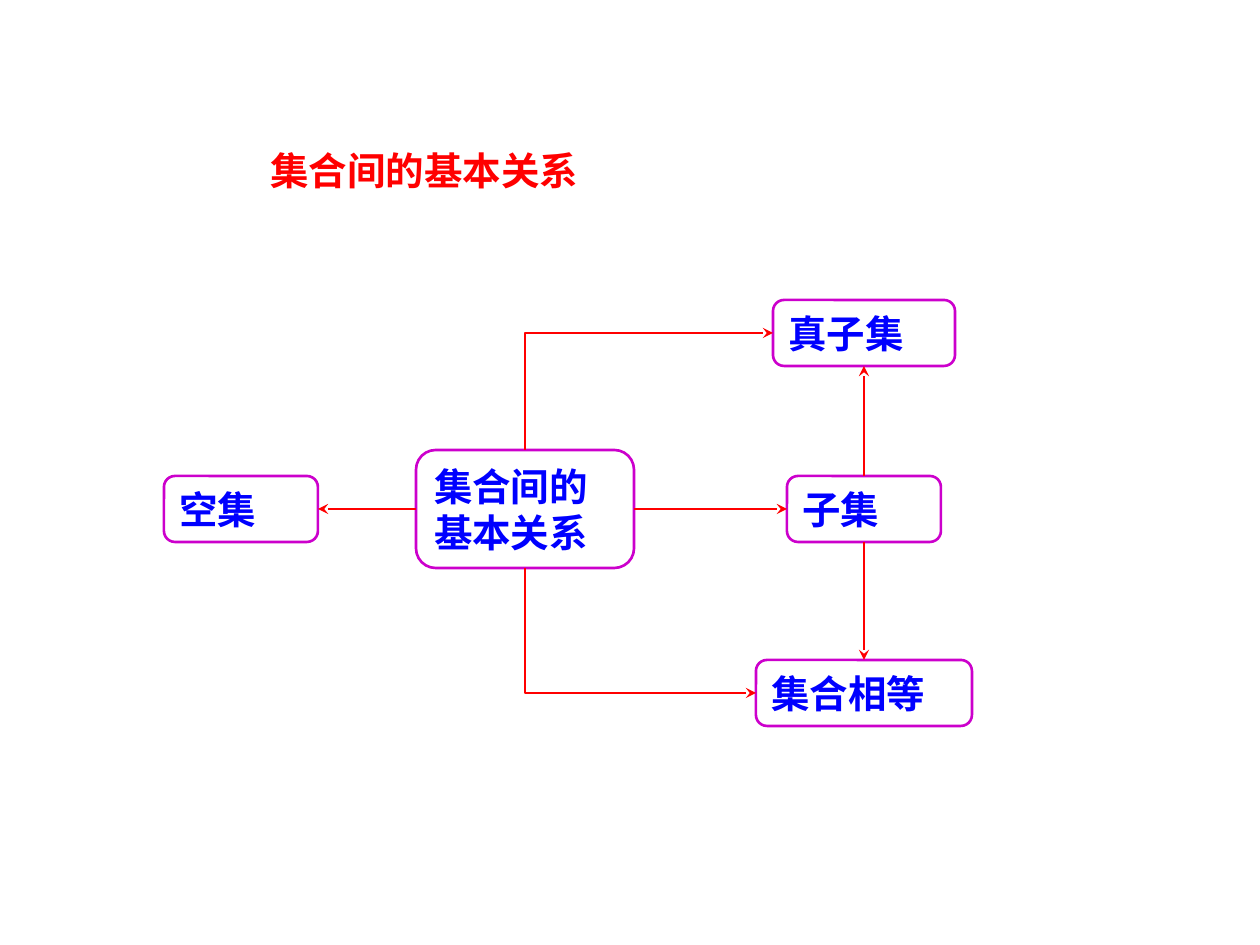
from lxml import etree
from pptx import Presentation
from pptx import util as u
from pptx.dml.color import RGBColor
from pptx.enum import shapes, text
from pptx.oxml.ns import qn

PX = u.Inches(1) / 126
FONT = "Noto Sans CJK SC"
COLORS = {"title": "FF0000", "term": "0000FF", "border": "CC00CC", "arrow": "FF0000"}


def px(n):
    return u.Emu(round(n * PX))


def write(frame, words, color, anchor, spacing=1.0):
    frame.word_wrap = True
    frame.auto_size = text.MSO_AUTO_SIZE.SHAPE_TO_FIT_TEXT
    frame.vertical_anchor = anchor
    frame.margin_left = frame.margin_right = u.Inches(0.1)
    frame.margin_top = frame.margin_bottom = u.Inches(0.05)
    paragraph = frame.paragraphs[0]
    paragraph.alignment = text.PP_ALIGN.LEFT
    paragraph.line_spacing = spacing
    paragraph.space_before = u.Pt(0)
    run = paragraph.add_run()
    run.text = words
    run.font.size = u.Pt(22)
    run.font.bold = True
    run.font.color.rgb = RGBColor.from_string(COLORS[color])
    run.font.name = FONT
    etree.SubElement(run.font._element, qn("a:ea")).set("typeface", FONT)


prs = Presentation()
prs.slide_width, prs.slide_height = px(1260), px(945)
slide = prs.slides.add_slide(prs.slide_layouts[5])

title = slide.shapes.title
title.left, title.top, title.width, title.height = px(258), px(122), px(760), px(78)
write(title.text_frame, "集合间的基本关系", "title", text.MSO_ANCHOR.TOP, spacing=1.4)

concepts = {}
for words, left, top, width, height in [
    ("空集", 164, 476, 154, 66),
    ("集合间的基本关系", 416, 450, 218, 118),
    ("集合相等", 756, 660, 216, 66),
    ("子集", 787, 476, 154, 66),
    ("真子集", 773, 300, 182, 66),
]:
    concept = slide.shapes.add_shape(
        shapes.MSO_SHAPE.FLOWCHART_ALTERNATE_PROCESS, px(left), px(top), px(width), px(height)
    )
    concept.shadow.inherit = False
    concept.fill.background()
    concept.line.color.rgb = RGBColor.from_string(COLORS["border"])
    concept.line.width = u.Pt(1.5)
    write(concept.text_frame, words, "term", text.MSO_ANCHOR.MIDDLE)
    concepts[words] = concept

TOP, LEFT, BOTTOM, RIGHT = range(4)
UP_THEN_RIGHT = {"rot": "5400000", "flipH": "1", "flipV": "1"}
DOWN_THEN_RIGHT = {"rot": "16200000", "flipH": "1", "flipV": "0"}
for source, source_side, target, target_side, bend in [
    ("集合间的基本关系", LEFT, "空集", RIGHT, None),
    ("集合间的基本关系", RIGHT, "子集", LEFT, None),
    ("集合间的基本关系", TOP, "真子集", LEFT, UP_THEN_RIGHT),
    ("集合间的基本关系", BOTTOM, "集合相等", LEFT, DOWN_THEN_RIGHT),
    ("子集", TOP, "真子集", BOTTOM, None),
    ("子集", BOTTOM, "集合相等", TOP, None),
]:
    kind = shapes.MSO_CONNECTOR.ELBOW if bend else shapes.MSO_CONNECTOR.STRAIGHT
    arrow = slide.shapes.add_connector(kind, 0, 0, 0, 0)
    arrow.begin_connect(concepts[source], source_side)
    arrow.end_connect(concepts[target], target_side)
    properties = arrow._element.spPr
    if bend:
        inset = (arrow.width - arrow.height) // 2
        arrow.left, arrow.top = arrow.left + inset, arrow.top - inset
        arrow.width, arrow.height = arrow.height, arrow.width
        properties.find(qn("a:prstGeom")).set("prst", "bentConnector2")
        for key, value in bend.items():
            properties.find(qn("a:xfrm")).set(key, value)
    arrow.line.color.rgb = RGBColor.from_string(COLORS["arrow"])
    arrow.line.width = u.Pt(1.5)
    etree.SubElement(arrow.line._get_or_add_ln(), qn("a:tailEnd")).set("type", "stealth")
    etree.SubElement(properties, qn("a:effectLst"))

prs.save("out.pptx")
